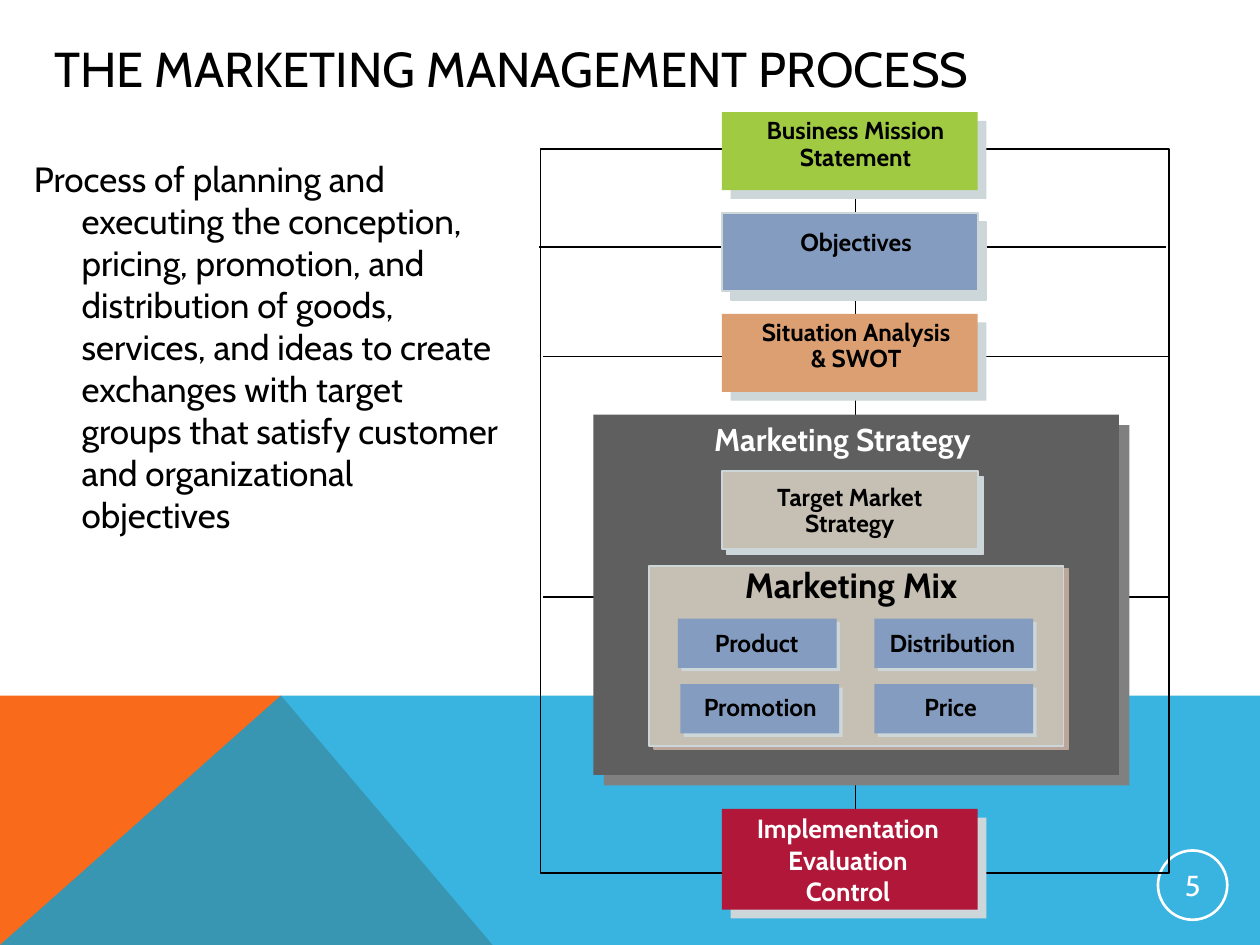
from lxml.etree import SubElement as Sub
from pptx import Presentation
from pptx.dml.color import RGBColor
from pptx.enum.shapes import MSO_CONNECTOR as Conn, MSO_SHAPE as Shape
from pptx.enum.text import MSO_ANCHOR as Anchor, PP_ALIGN as Align
from pptx.oxml.ns import qn
from pptx.util import Inches, Pt

BLACK, WHITE = "000000", "FFFFFF"
BLUE, SAND, PALE = "859CC1", "C6BFB3", "CDD7D9"


def paint(target, color):
    """Give a fill a solid colour, or none."""
    if color:
        target.solid()
        target.fore_color.rgb = RGBColor.from_string(color)
    else:
        target.background()


def style(frame, size, color, bold=False, align=Align.CENTER, space=None):
    for para in frame.paragraphs:
        para.alignment = align
        para.line_spacing = space
        for run in para.runs:
            font = run.font
            font.name, font.size, font.bold = "Cabin", Pt(size), bold
            font.color.rgb = RGBColor.from_string(color)


def shade(shape, color, dist, angle):
    """Add a hard-edged shadow; dist is in points, angle in degrees."""
    effects = shape._element.spPr.find(qn("a:effectLst"))
    outer = Sub(effects, qn("a:outerShdw"), dist=str(Pt(dist)),
                dir=str(angle * 60000), algn="ctr", rotWithShape="0")
    Sub(outer, qn("a:srgbClr"), val=color)


def add_box(shapes, area, fill=None, line=None, width=1, dist=0,
            shadow=PALE, angle=45, kind=Shape.RECTANGLE):
    box = shapes.add_shape(kind, *map(Inches, area))
    box.shadow.inherit = False
    paint(box.fill, fill)
    paint(box.line.fill, line)
    if line:
        box.line.width = Pt(width)
    if dist:
        shade(box, shadow, dist, angle)
    return box


def add_label(shapes, area, text, size=14, color=BLACK, wrap=False, space=0.9):
    frame = shapes.add_textbox(*map(Inches, area)).text_frame
    frame.word_wrap = wrap
    frame.text = text
    style(frame, size, color, True, space=space)


def add_line(shapes, *ends):
    line = shapes.add_connector(Conn.STRAIGHT, *map(Inches, ends))
    paint(line.line.fill, BLACK)
    line.line.width = Pt(1)
    Sub(line._element.spPr, qn("a:effectLst"))


def add_band(shapes, points, color, alpha=100):
    first, *rest = [(Inches(x), Inches(y)) for x, y in points]
    pen = shapes.build_freeform(*first)
    pen.add_line_segments(rest)
    band = pen.convert_to_shape()
    band.shadow.inherit = False
    paint(band.fill, color)
    paint(band.line.fill, None)
    if alpha < 100:
        tint = band._element.spPr.find(qn("a:solidFill"))[0]
        Sub(tint, qn("a:alpha"), val=str(alpha * 1000))


def add_title(slide, text):
    title = slide.shapes.title
    title.left, title.top, title.width, title.height = map(
        Inches, (0.33, 0.08, 8.79, 0.92))
    paint(title.fill, WHITE)
    frame = title.text_frame
    frame.text = text
    frame.vertical_anchor = Anchor.MIDDLE
    style(frame, 28, BLACK, align=Align.LEFT)


def add_body(shapes, text):
    """Add the definition with a hanging indent."""
    frame = shapes.add_textbox(*map(Inches, (0.17, 1.2, 3.92, 3.16))).text_frame
    frame.word_wrap = True
    frame.text = text
    props = frame.paragraphs[0]._p.get_or_add_pPr()
    props.set("marL", str(Inches(0.38)))
    props.set("indent", str(Inches(-0.38)))
    style(frame, 20, BLACK, align=Align.LEFT)


def add_number(shapes, text):
    ring = add_box(shapes, (9.19, 6.75, 0.55, 0.55), line=WHITE, width=1.5,
                   kind=Shape.OVAL)
    frame = ring.text_frame
    frame.margin_left = frame.margin_right = Inches(0.01)
    frame.margin_top = frame.margin_bottom = Inches(0.01)
    frame.vertical_anchor = Anchor.MIDDLE
    frame.text = text
    style(frame, 16.5, WHITE)


def add_frame(shapes):
    """Draw the feedback loop and the lines that join the steps."""
    for left, y in ((4.31, 4.74), (4.31, 2.83), (4.28, 1.96)):
        add_line(shapes, left, y, left + 4.97, y)
    add_line(shapes, 6.79, 1.36, 6.79, 6.6)
    add_box(shapes, (4.29, 1.18, 4.99, 5.75), line=BLACK)


def add_steps(shapes):
    left, width = 5.73, 2.03
    steps = (
        (0.89, 0.62, "A0CA42", None, (5.73, 0.89, 2.12, 0.52),
         "Business Mission Statement"),
        (1.69, 0.62, BLUE, PALE, (5.83, 1.78, 1.93, 0.31), "Objectives"),
        (2.49, 0.62, "DC9F72", None, (5.78, 2.49, 2.03, 0.52),
         "Situation Analysis\n& SWOT"),
    )
    for top, height, fill, line, area, text in steps:
        add_box(shapes, (left, top, width, height), fill, line, dist=7.1)
        add_label(shapes, area, text, wrap=True)
    add_box(shapes, (left, 6.42, width, 0.8), "B11738", dist=7.1)
    add_label(shapes, (5.86, 6.4, 1.74, 0.85),
              "Implementation\vEvaluation\vControl", 15, WHITE, space=None)


def add_plan(shapes):
    """Draw the strategy panel with the target market and the mix."""
    add_box(shapes, (4.71, 3.29, 4.17, 2.86), "5F5F5F", dist=8.5,
            shadow="808080")
    add_label(shapes, (5.46, 3.32, 2.45, 0.37), "Marketing Strategy", 18, WHITE)
    add_box(shapes, (5.73, 3.74, 2.03, 0.62), SAND, PALE, dist=4.2)
    add_label(shapes, (5.73, 3.8, 2.03, 0.52), "Target Market Strategy",
              wrap=True)
    add_box(shapes, (5.15, 4.49, 3.29, 1.43), SAND, PALE, dist=3.6,
            shadow="BBA69C", angle=34)
    add_label(shapes, (5.73, 4.46, 2.05, 0.4), "Marketing Mix", 20)
    parts = (
        (5.38, 4.91, 5.54, 4.96, 0.93, "Product"),
        (6.94, 4.91, 6.92, 4.96, 1.28, "Distribution"),
        (5.4, 5.43, 5.45, 5.47, 1.17, "Promotion"),
        (6.94, 5.43, 7.21, 5.47, 0.67, "Price"),
    )
    for left, top, x, y, width, text in parts:
        add_box(shapes, (left, top, 1.26, 0.39), BLUE, dist=2.8)
        add_label(shapes, (x, y, width, 0.31), text)


def main():
    deck = Presentation()
    deck.slide_width, deck.slide_height = Inches(10), Inches(7.5)
    slide = deck.slides.add_slide(deck.slide_layouts[5])
    shapes = slide.shapes
    add_band(shapes, ((0, 7.5), (0, 5.52), (2.23, 5.52), (3.91, 7.5)), "F96A1B")
    add_band(shapes, ((0, 7.5), (2.23, 5.52), (10, 5.52), (10, 7.5)),
             "08A1D9", 80)
    add_title(slide, "THE MARKETING MANAGEMENT PROCESS")
    add_body(shapes, "Process of planning and executing the conception, "
             "pricing, promotion, and distribution of goods, services, and "
             "ideas to create exchanges with target groups that satisfy "
             "customer and organizational objectives")
    add_number(shapes, "5")
    add_frame(shapes)
    add_plan(shapes)
    add_steps(shapes)
    deck.save("out.pptx")


if __name__ == "__main__":
    main()
